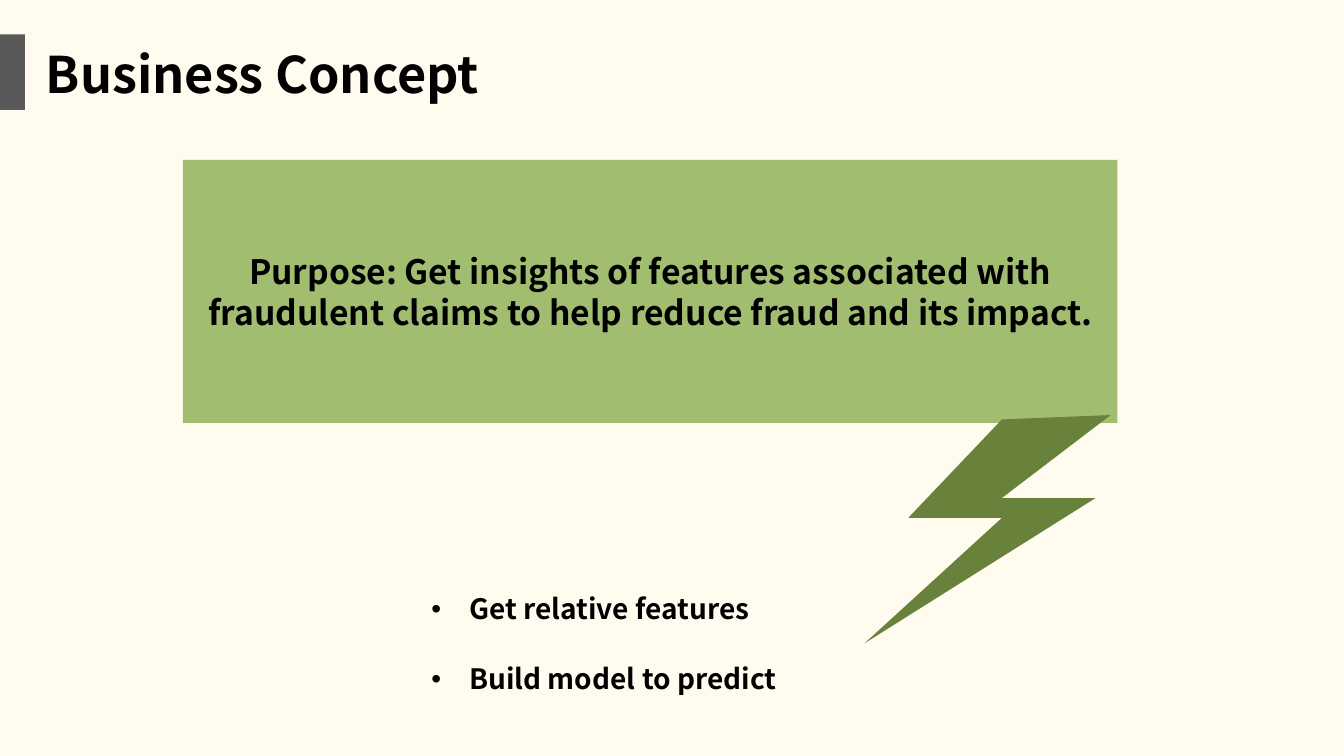
"""Build the Business Concept slide."""
from pptx import Presentation
from pptx.dml.color import RGBColor
from pptx.enum.shapes import MSO_SHAPE as Preset
from pptx.enum.text import MSO_ANCHOR as Anchor, MSO_AUTO_SIZE as AutoSize, PP_ALIGN as Align
from pptx.util import Cm, Pt

CREAM = RGBColor(0xFF, 0xFB, 0xEF)
LIGHT_GREEN = RGBColor(0xA1, 0xBD, 0x70)
DARK_GREEN = RGBColor(0x68, 0x81, 0x3B)
GRAY = RGBColor(0x59, 0x59, 0x59)
BLACK = RGBColor(0, 0, 0)
FONT = "Noto Sans CJK SC"


def paint(shape, color):
    shape.shadow.inherit = False
    shape.fill.solid()
    shape.fill.fore_color.rgb = color
    shape.line.fill.background()


def format_text(shape, size, align, anchor=Anchor.MIDDLE):
    frame = shape.text_frame
    frame.word_wrap = True
    frame.auto_size = AutoSize.NONE
    frame.vertical_anchor = anchor
    for paragraph in frame.paragraphs:
        paragraph.alignment = align
        paragraph.space_before = Pt(0)
        for run in paragraph.runs:
            run.font.name = FONT
            run.font.size = Pt(size)
            run.font.bold = True
            run.font.color.rgb = BLACK


presentation = Presentation()
presentation.slide_width = Cm(33.87)
presentation.slide_height = Cm(19.05)
slide = presentation.slides.add_slide(presentation.slide_layouts[1])
slide.background.fill.solid()
slide.background.fill.fore_color.rgb = CREAM

title_bar = slide.shapes.add_shape(Preset.RECTANGLE, 0, Cm(0.87), Cm(0.63), Cm(1.9))
paint(title_bar, GRAY)

title = slide.shapes.title
title.left, title.top, title.width, title.height = Cm(0.9), Cm(0.94), Cm(13), Cm(1.8)
title.text_frame.text = "Business Concept"
format_text(title, 36, Align.LEFT)

purpose = slide.shapes.add_shape(Preset.RECTANGLE, Cm(4.61), Cm(4.03), Cm(23.55), Cm(6.63))
paint(purpose, LIGHT_GREEN)
purpose.text_frame.text = (
    "Purpose: Get insights of features associated with "
    "fraudulent claims to help reduce fraud and its impact."
)
format_text(purpose, 24, Align.CENTER)

bolt_points = [
    (25.25, 10.57), (22.89, 13.05), (25.25, 13.05), (21.79, 16.21),
    (27.61, 12.55), (25.25, 12.55), (27.99, 10.46),
]
corners = [(Cm(x), Cm(y)) for x, y in bolt_points]
builder = slide.shapes.build_freeform(*corners[0])
builder.add_line_segments(corners[1:])
bolt = builder.convert_to_shape()
paint(bolt, DARK_GREEN)

steps = slide.placeholders[1]
steps.left, steps.top, steps.width, steps.height = Cm(10.62), Cm(14.78), Cm(10.5), Cm(2.88)
steps.text_frame.text = "Get relative features\nBuild model to predict"
format_text(steps, 20, Align.LEFT, Anchor.TOP)
steps.text_frame.paragraphs[1].space_before = Pt(26)

presentation.save("out.pptx")
